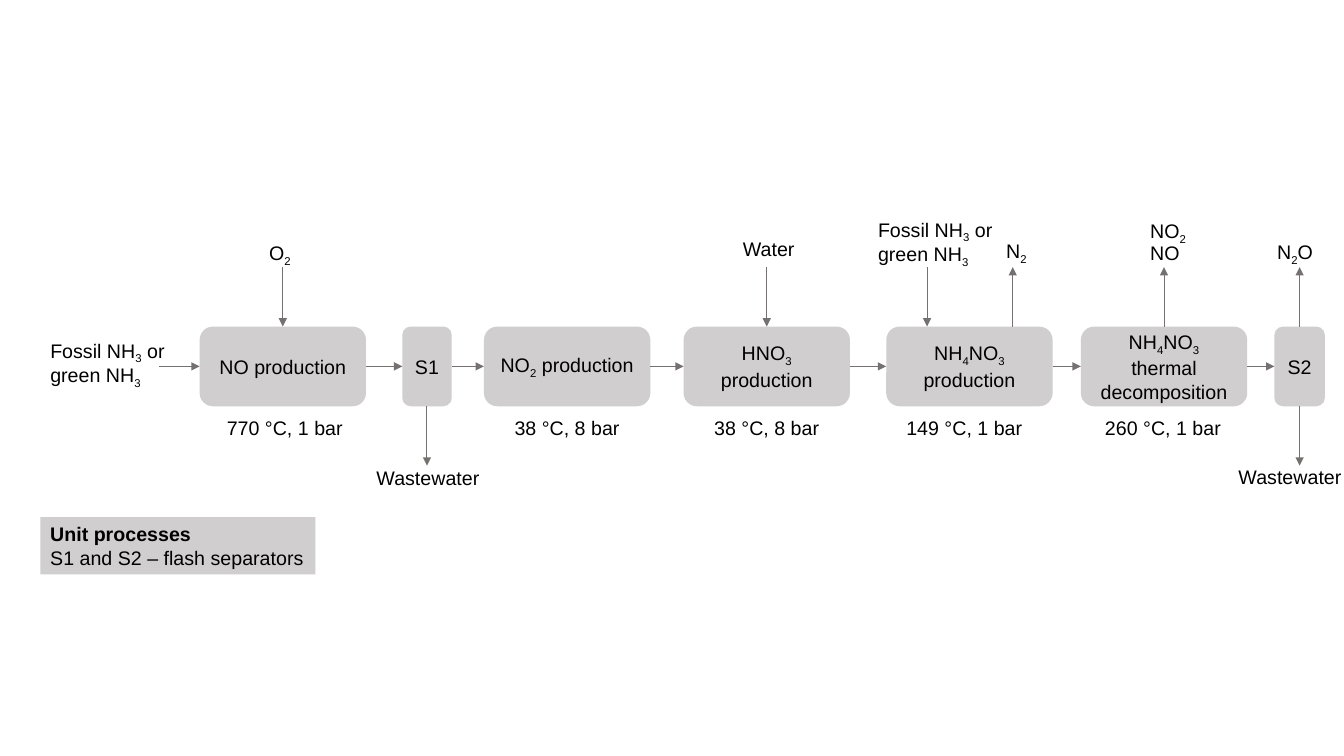
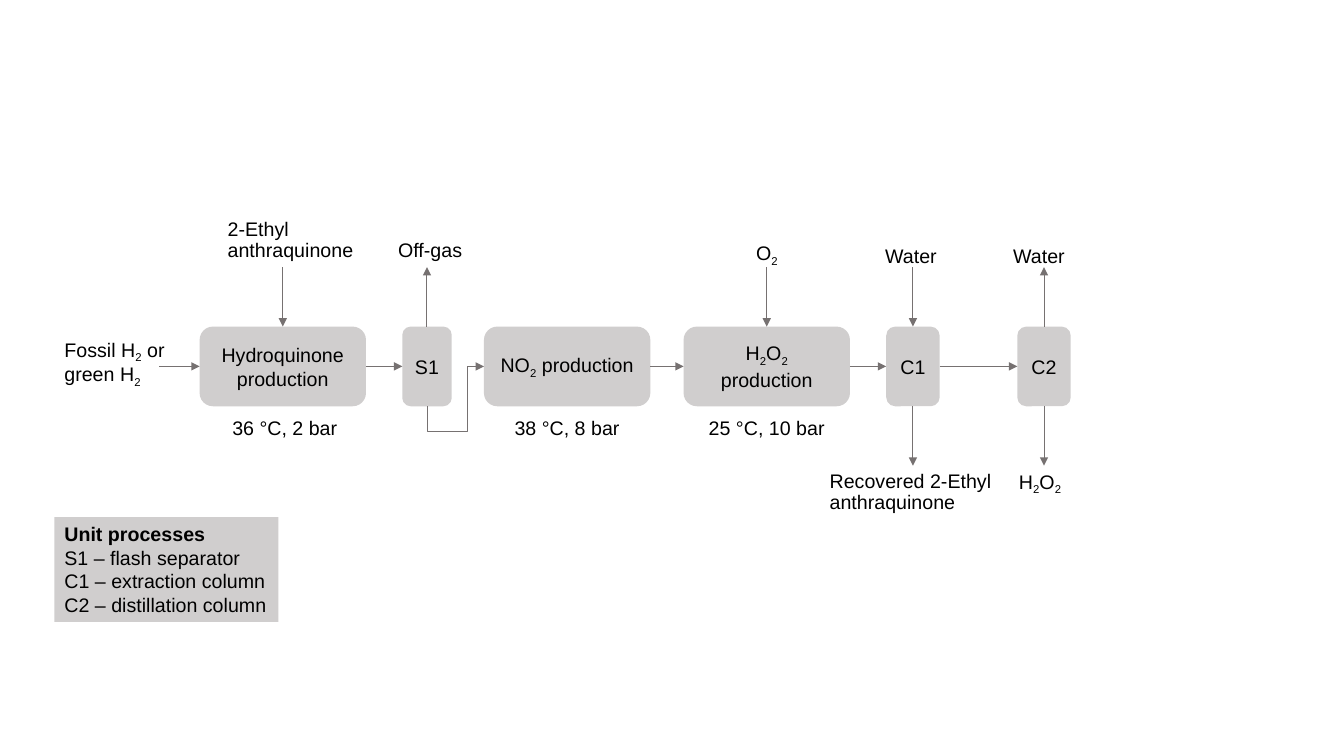
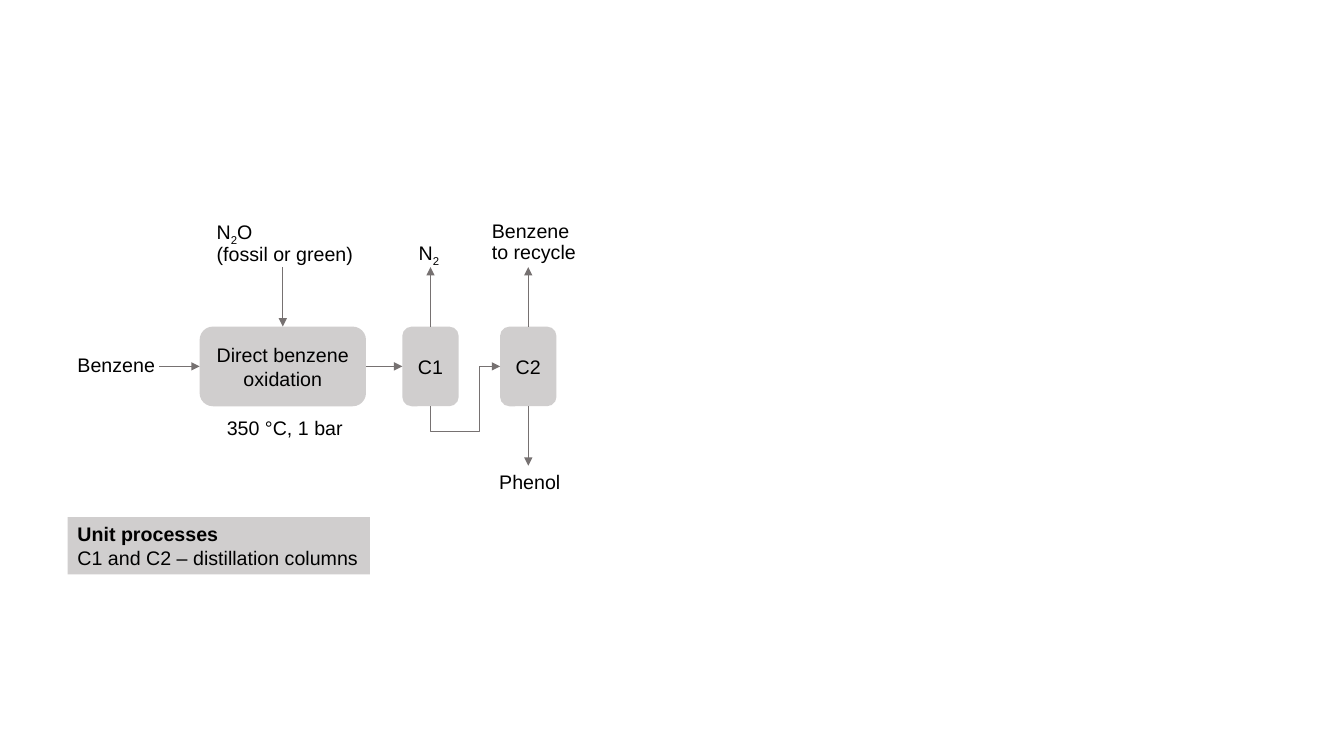
from dataclasses import dataclass

from lxml import etree
from pptx import Presentation
from pptx import util as u
from pptx.dml.color import RGBColor
from pptx.enum import shapes, text
from pptx.oxml.ns import qn


@dataclass(frozen=True)
class Theme:
    ink: RGBColor = RGBColor(0, 0, 0)
    box: RGBColor = RGBColor(0xD0, 0xCE, 0xCE)
    line: RGBColor = RGBColor(0x76, 0x71, 0x71)
    font: str = "Arial"
    size: u.Pt = u.Pt(14)
    line_width: u.Pt = u.Pt(0.75)
    label_spacing: float = 0.9


theme = Theme()
TOP, LEFT, BOTTOM, RIGHT = range(4)
CENTER, START = text.PP_ALIGN.CENTER, text.PP_ALIGN.LEFT

# Grid in inches
columns = {"A": 1.98, "B": 3.99, "C": 4.8, "C late": 4.96, "D": 6.78,
           "E": 8.79, "F": 10.09, "G": 10.72, "H": 12.64}
BLOCK_TOP, BLOCK_HEIGHT = 3.24, 0.79
BLOCK_MIDDLE = BLOCK_TOP + BLOCK_HEIGHT / 2
BLOCK_BOTTOM = BLOCK_TOP + BLOCK_HEIGHT
FEED_LEFT, STREAM_TOP, STREAM_BOTTOM = 1.58, 2.65, 4.62
CONDITION_TOP, CONDITION_WIDTH, LABEL_HEIGHT = 4.02, 1.57, 0.48
LEGEND_TOP, LEGEND_PADDING, LEGEND_LINE = 5.13, 0.1, 0.235
WIDE = 1.65

# blocks: text, column, width, condition, left of condition
# streams: block, side, flows in, shift from block middle,
#          label, label left, label top, label width, alignment
# bends: block left from below -> position of the riser (share of the run)
flows = [
    {
        "blocks": [
            ("NO production", "A", WIDE, "770 °C, 1 bar", 2.04),
            ("S1", "B", 0.49, None, None),
            ("NO~2~ production", "C", WIDE, "38 °C, 8 bar", 4.84),
            ("HNO~3~ production", "D", WIDE, "38 °C, 8 bar", 6.82),
            ("NH~4~NO~3 ~production", "E", WIDE, "149 °C, 1 bar", 8.78),
            ("NH~4~NO~3~ thermal decomposition", "G", WIDE, "260 °C, 1 bar", 10.75),
            ("S2", "H", 0.5, None, None),
        ],
        "streams": [
            (0, LEFT, True, 0, "Fossil NH~3~ or green NH~3~", 0.4, 3.36, 1.65, START),
            (0, TOP, True, 0, "O~2~", 2.57, 2.27, 0.86, START),
            (1, BOTTOM, False, 0, "Wastewater", 3.63, 4.51, 1.23, CENTER),
            (3, TOP, True, 0, "Water", 7.27, 2.24, 0.83, START),
            (4, TOP, True, -0.42, "Fossil NH~3~ or green NH~3~", 8.61, 2.16, 1.42, START),
            (4, TOP, False, 0.43, "N~2~", 9.88, 2.25, 1.01, START),
            (5, TOP, False, 0, "NO~2~\nNO", 11.31, 2.16, 1.13, START),
            (6, TOP, False, 0, "N~2~O", 12.28, 2.26, 1.13, CENTER),
            (6, BOTTOM, False, 0, "Wastewater", 12.18, 4.5, 1.23, CENTER),
        ],
        "bends": {},
        "legend": (0.4, 2.73, ["S1 and S2 – flash separators"]),
    },
    {
        "blocks": [
            ("Hydroquinone production", "A", WIDE, "36 °C, 2 bar", 2.04),
            ("S1", "B", 0.49, None, None),
            ("NO~2~ production", "C", WIDE, "38 °C, 8 bar", 4.84),
            ("H~2~O~2~ production", "D", WIDE, "25 °C, 10 bar", 6.82),
            ("C1", "E", 0.53, None, None),
            ("C2", "F", 0.53, None, None),
        ],
        "streams": [
            (0, LEFT, True, 0, "Fossil H~2~ or green H~2~", 0.54, 3.35, 1.65, START),
            (0, TOP, True, 0, "2-Ethyl anthraquinone", 2.16, 2.15, 1.61, START),
            (1, TOP, False, 0, "Off-gas", 3.85, 2.25, 0.98, START),
            (3, TOP, True, 0, "O~2~", 7.4, 2.27, 0.42, START),
            (4, TOP, True, 0, "Water", 8.21, 2.31, 1.65, CENTER),
            (4, BOTTOM, False, 0, "Recovered 2-Ethyl anthraquinone", 8.13, 4.65, 1.91, START),
            (5, TOP, False, 0, "Water", 9.48, 2.31, 1.65, CENTER),
            (5, BOTTOM, False, 0, "H~2~O~2~", 9.49, 4.54, 1.65, CENTER),
        ],
        "bends": {1: 0.71},
        "legend": (0.54, 2.22, ["S1 – flash separator", "C1 – extraction column",
                                "C2 – distillation column"]),
    },
    {
        "blocks": [
            ("Direct benzene oxidation", "A", WIDE, "350 °C, 1 bar", 2.04),
            ("C1", "B", 0.56, None, None),
            ("C2", "C late", 0.56, None, None),
        ],
        "streams": [
            (0, LEFT, True, 0, "Benzene", 0.67, 3.39, 1.01, START),
            (0, TOP, True, 0, "N~2~O\n(fossil or green)", 2.05, 2.17, 1.65, START),
            (1, TOP, False, 0, "N~2~", 3.69, 2.27, 1.13, CENTER),
            (2, TOP, False, 0, "Benzene to recycle", 4.78, 2.17, 1.13, START),
            (2, BOTTOM, False, 0, "Phenol", 4.69, 4.55, 1.13, CENTER),
        ],
        "bends": {1: 0.7},
        "legend": (0.67, 3, ["C1 and C2 – distillation columns"]),
    },
]


def write_text(shape, content, frame_format, paragraph_format, bold_first=False):
    """Write one paragraph per line; parts between tildes become subscripts."""
    frame = shape.text_frame
    for name, value in frame_format.items():
        setattr(frame, name, value)
    for row, line in enumerate(content.split("\n")):
        paragraph = frame.paragraphs[0] if row == 0 else frame.add_paragraph()
        for name, value in paragraph_format.items():
            setattr(paragraph, name, value)
        for part, words in enumerate(line.split("~")):
            if not words:
                continue
            run = paragraph.add_run()
            run.text = words
            font_format = {"name": theme.font, "size": theme.size,
                           "bold": bold_first and row == 0}
            for name, value in font_format.items():
                setattr(run.font, name, value)
            run.font.color.rgb = theme.ink
            if part % 2:
                run._r.get_or_add_rPr().set("baseline", "-25000")


def add_arrow(slide, kind, begin, end):
    connector = slide.shapes.add_connector(kind, *(u.Inches(n) for n in (*begin, *end)))
    connector.line.color.rgb = theme.line
    connector.line.width = theme.line_width
    properties = connector._element.spPr
    etree.SubElement(properties.find(qn("a:ln")), qn("a:tailEnd"), type="triangle")
    etree.SubElement(properties, qn("a:effectLst"))
    return connector


presentation = Presentation()
presentation.slide_width, presentation.slide_height = u.Inches(13.33), u.Inches(7.5)
middle = {"vertical_anchor": text.MSO_ANCHOR.MIDDLE, "word_wrap": True}
straight, elbow = shapes.MSO_CONNECTOR.STRAIGHT, shapes.MSO_CONNECTOR.ELBOW

for flow in flows:
    slide = presentation.slides.add_slide(presentation.slide_layouts[6])
    labels = [(*stream[4:],) for stream in flow["streams"]]

    # Filled boxes: process blocks and the legend
    legend_left, legend_width, legend_lines = flow["legend"]
    legend_lines = ["Unit processes", *legend_lines]
    legend_height = LEGEND_PADDING + LEGEND_LINE * len(legend_lines)
    boxes = [(shapes.MSO_SHAPE.ROUNDED_RECTANGLE, columns[column], BLOCK_TOP, width, BLOCK_HEIGHT)
             for _, column, width, _, _ in flow["blocks"]]
    boxes.append((shapes.MSO_SHAPE.RECTANGLE, legend_left, LEGEND_TOP, legend_width, legend_height))
    filled = []
    for kind, *place in boxes:
        shape = slide.shapes.add_shape(kind, *(u.Inches(n) for n in place))
        shape.shadow.inherit = False
        shape.fill.solid()
        shape.fill.fore_color.rgb = theme.box
        shape.line.fill.background()
        filled.append(shape)
    *blocks, legend = filled

    for block, (name, _, width, condition, condition_left) in zip(blocks, flow["blocks"]):
        write_text(block, name, {**middle, "word_wrap": width == WIDE}, {"alignment": CENTER})
        if condition:
            labels.append((condition, condition_left, CONDITION_TOP, CONDITION_WIDTH, CENTER))
    write_text(legend, "\n".join(legend_lines),
               {"vertical_anchor": text.MSO_ANCHOR.TOP, "word_wrap": False,
                "auto_size": text.MSO_AUTO_SIZE.SHAPE_TO_FIT_TEXT},
               {"alignment": START}, bold_first=True)

    # Arrows from each block to the next
    for index, (block, following) in enumerate(zip(blocks, blocks[1:])):
        _, column, width, _, _ = flow["blocks"][index]
        next_left = columns[flow["blocks"][index + 1][1]]
        if index not in flow["bends"]:
            arrow = add_arrow(slide, straight, (columns[column] + width, BLOCK_MIDDLE),
                              (next_left, BLOCK_MIDDLE))
            arrow.begin_connect(block, RIGHT)
            arrow.end_connect(following, LEFT)
            continue
        # The elbow lies on its side: its frame is turned by 90 degrees
        start = columns[column] + width / 2
        center_x, center_y = (start + next_left) / 2, (BLOCK_BOTTOM + BLOCK_MIDDLE) / 2
        half_rise, half_run = (BLOCK_BOTTOM - BLOCK_MIDDLE) / 2, (next_left - start) / 2
        arrow = add_arrow(slide, elbow, (center_x + half_rise, center_y + half_run),
                          (center_x - half_rise, center_y - half_run))
        properties = arrow._element.spPr
        properties.find(qn("a:xfrm")).set("rot", "5400000")
        geometry = properties.find(qn("a:prstGeom"))
        geometry.set("prst", "bentConnector4")
        adjustments = geometry.find(qn("a:avLst"))
        for number, share in enumerate((-0.63, flow["bends"][index]), 1):
            etree.SubElement(adjustments, qn("a:gd"), name=f"adj{number}",
                             fmla=f"val {round(share * 100000)}")

    # Streams entering and leaving the blocks
    for index, side, flows_in, shift, *_ in flow["streams"]:
        _, column, width, _, _ = flow["blocks"][index]
        x = columns[column] + width / 2 + shift
        outer, inner = {
            TOP: ((x, STREAM_TOP), (x, BLOCK_TOP)),
            LEFT: ((FEED_LEFT, BLOCK_MIDDLE), (columns[column], BLOCK_MIDDLE)),
            BOTTOM: ((x, STREAM_BOTTOM), (x, BLOCK_BOTTOM)),
        }[side]
        arrow = add_arrow(slide, straight, *((outer, inner) if flows_in else (inner, outer)))
        if not shift:
            connect = arrow.end_connect if flows_in else arrow.begin_connect
            connect(blocks[index], side)

    for content, left, top, width, alignment in labels:
        label = slide.shapes.add_textbox(*(u.Inches(n) for n in (left, top, width, LABEL_HEIGHT)))
        write_text(label, content, middle,
                   {"alignment": alignment, "line_spacing": theme.label_spacing})

presentation.save("out.pptx")
